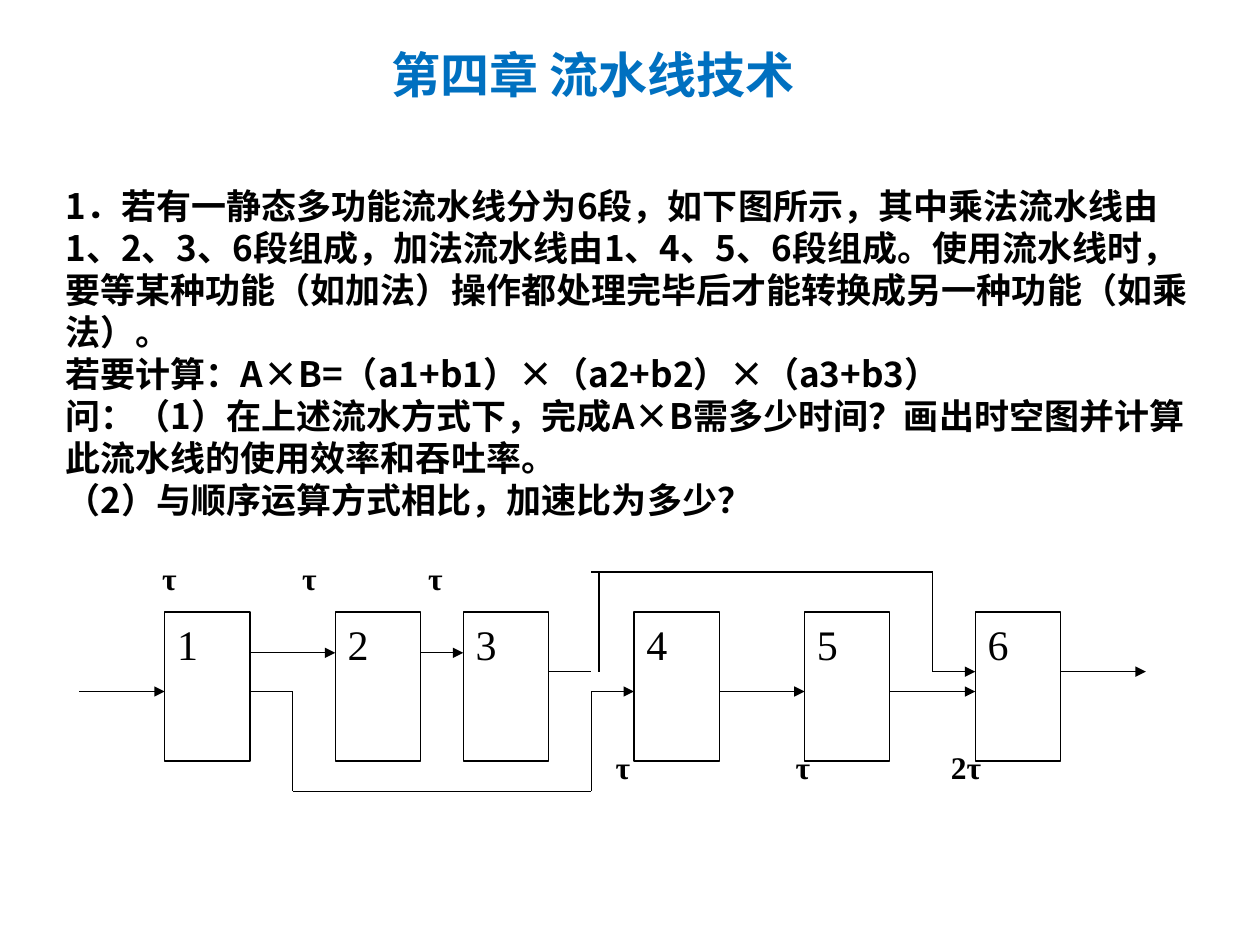
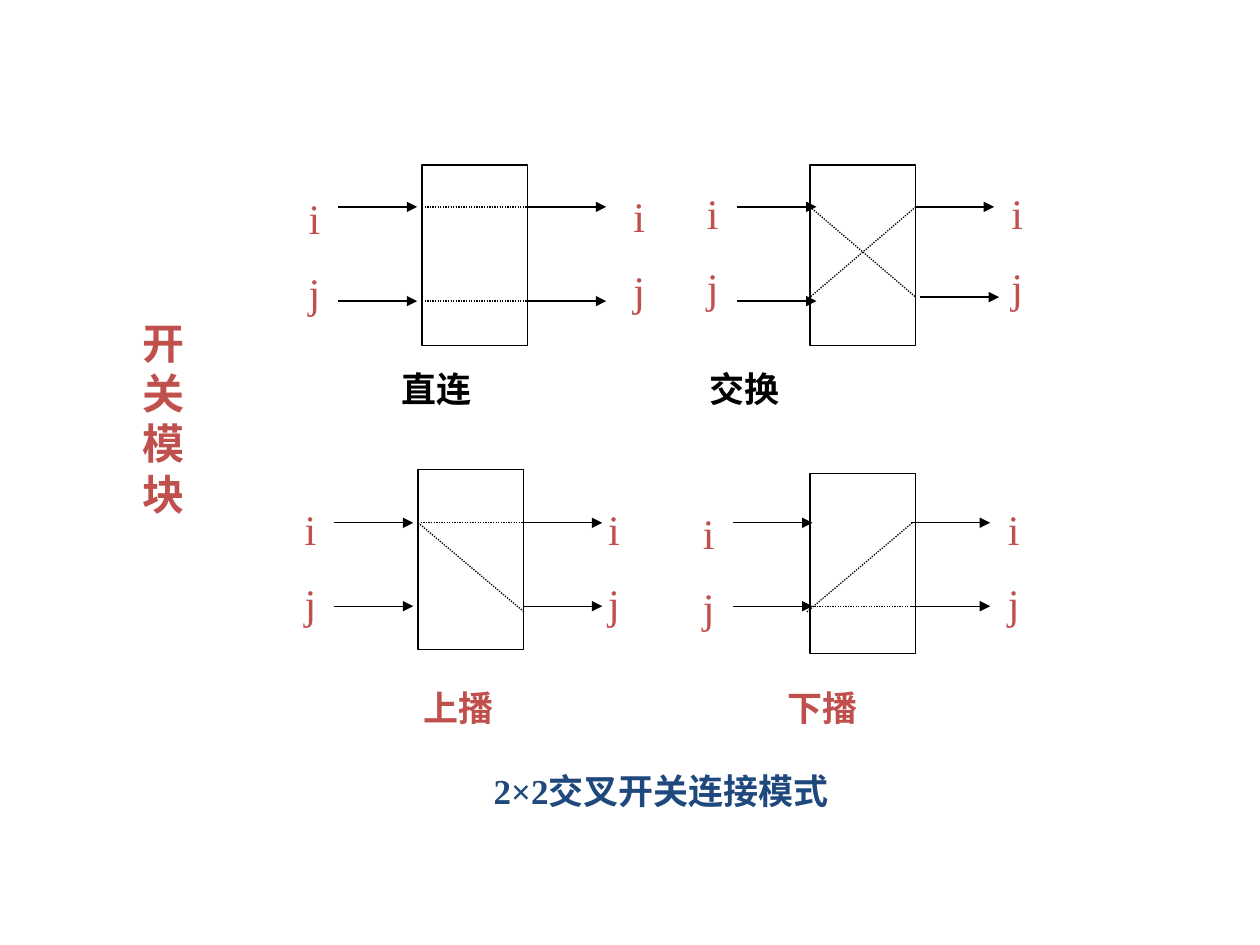
from dataclasses import dataclass

import pptx
import pptx.dml.color
import pptx.enum.dml
import pptx.enum.shapes
import pptx.enum.text
import pptx.oxml
import pptx.oxml.ns
import pptx.util
from lxml import etree
from pptx.util import Cm

ALIGN = pptx.enum.text.PP_ALIGN
ANCHOR = pptx.enum.text.MSO_ANCHOR


@dataclass(frozen=True)
class Theme:
    black: str = "000000"
    blue: str = "0070C0"
    navy: str = "1F497D"
    red: str = "C0504D"
    latin: str = "Times New Roman"
    chinese: str = "Noto Sans CJK SC"
    title: int = 28
    label: int = 24
    body: int = 20
    delay: int = 18
    line: float = 0.75
    leading: float = 1.2
    port_gap: float = 13.5


@dataclass(frozen=True)
class Switch:
    """One 2×2 switch; all lengths are centimetres."""
    left: float
    top: float
    inputs: tuple      # start x, then the y of each arrow
    outputs: tuple     # (x, y) where each arrow starts
    links: tuple       # dotted lines inside: x1, y1, x2, y2
    in_label: tuple
    out_label: tuple
    name: str
    name_at: tuple
    name_color: str


class Deck:
    def __init__(self, theme):
        self.theme = theme
        self.presentation = pptx.Presentation()
        self.presentation.slide_width = Cm(25.4)
        self.presentation.slide_height = Cm(19.05)
        self.slide = None

    def new_slide(self):
        self.slide = self.presentation.slides.add_slide(
            self.presentation.slide_layouts[6])

    def color(self, code):
        return pptx.dml.color.RGBColor.from_string(code)

    def fill_text(self, frame, lines, size, color, bold=False, font=None,
                  align=ALIGN.LEFT, leading=None, gap=0):
        """Fill a text frame, one paragraph for each line."""
        frame.word_wrap = True
        for index, line in enumerate(lines):
            paragraph = frame.paragraphs[0] if index == 0 else frame.add_paragraph()
            paragraph.alignment = align
            if leading:
                paragraph.line_spacing = pptx.util.Pt(size * leading)
            if index and gap:
                paragraph.space_before = pptx.util.Pt(gap)
            run = paragraph.add_run()
            run.text = line
            run.font.size = pptx.util.Pt(size)
            run.font.bold = bold
            run.font.color.rgb = self.color(color)
            run.font.name = font or self.theme.latin
            east_asian = etree.SubElement(run.font._element,
                                          pptx.oxml.ns.qn("a:ea"))
            east_asian.set("typeface", self.theme.chinese)

    def text(self, left, top, width, height, lines, size, color,
             anchor=ANCHOR.TOP, **style):
        shape = self.slide.shapes.add_textbox(
            Cm(left), Cm(top), Cm(width), Cm(height))
        shape.text_frame.vertical_anchor = anchor
        self.fill_text(shape.text_frame, lines, size, color, **style)

    def box(self, left, top, width, height, label=None):
        shape = self.slide.shapes.add_shape(
            pptx.enum.shapes.MSO_SHAPE.RECTANGLE,
            Cm(left), Cm(top), Cm(width), Cm(height))
        shape.shadow.inherit = False
        shape.fill.background()
        shape.line.color.rgb = self.color(self.theme.black)
        shape.line.width = pptx.util.Pt(self.theme.line)
        if label:
            shape.text_frame.vertical_anchor = ANCHOR.TOP
            self.fill_text(shape.text_frame, [label], self.theme.label,
                           self.theme.black)

    def line(self, x1, y1, x2, y2, arrow=False, dotted=False):
        connector = self.slide.shapes.add_connector(
            pptx.enum.shapes.MSO_CONNECTOR.STRAIGHT,
            Cm(x1), Cm(y1), Cm(x2), Cm(y2))
        connector.line.color.rgb = self.color(self.theme.black)
        connector.line.width = pptx.util.Pt(self.theme.line)
        if dotted:
            connector.line.dash_style = pptx.enum.dml.MSO_LINE.ROUND_DOT
        if arrow:
            tail = etree.SubElement(connector.line._get_or_add_ln(),
                                    pptx.oxml.ns.qn("a:tailEnd"))
            tail.set("type", "triangle")
        etree.SubElement(connector._element.spPr,
                         pptx.oxml.ns.qn("a:effectLst"))

    def route(self, points, arrow=True):
        """Join points by straight lines, with an arrowhead on the last."""
        last = len(points) - 2
        for index, (start, end) in enumerate(zip(points, points[1:])):
            self.line(*start, *end, arrow=arrow and index == last)

    def switch(self, switch):
        theme, arrow_length = self.theme, 1.6
        self.box(switch.left, switch.top, 2.13, 3.63)
        x, *heights = switch.inputs
        for start_x, y in [(x, y) for y in heights] + list(switch.outputs):
            self.line(start_x, y, start_x + arrow_length, y, arrow=True)
        for link in switch.links:
            self.line(*link, dotted=True)
        for left, top in (switch.in_label, switch.out_label):
            self.text(left, top, 1.07, 2.79, ["i", "j"], theme.label,
                      theme.red, gap=theme.port_gap)
        self.text(*switch.name_at, 2.5, 1.07, [switch.name], theme.body,
                  switch.name_color, bold=True, leading=theme.leading)


def build_pipeline(deck):
    theme = deck.theme
    deck.new_slide()
    deck.text(1.07, 4.03, 23.29, 6.17, [
        "1．若有一静态多功能流水线分为6段，如下图所示，其中乘法流水线由1、2、3、6段组成，"
        "加法流水线由1、4、5、6段组成。使用流水线时，要等某种功能（如加法）操作都处理完毕后"
        "才能转换成另一种功能（如乘法）。",
        "若要计算：A×B=（a1+b1）×（a2+b2）×（a3+b3）",
        "问：（1）在上述流水方式下，完成A×B需多少时间？画出时空图并计算此流水线的使用效率和吞吐率。",
        "（2）与顺序运算方式相比，加速比为多少？",
    ], theme.body, theme.black, anchor=ANCHOR.MIDDLE, bold=True,
        font=theme.chinese, leading=theme.leading)

    stage_width, stage_top = 1.72, 12.34
    upper, middle, lower = 13.16, 13.54, 13.94
    high_rail, low_rail = 11.53, 15.95

    def column(units):
        return 3.32 + units * stage_width

    for number, units in enumerate((0, 2, 3.5, 5.5, 7.5, 9.5), start=1):
        deck.box(column(units), stage_top, stage_width, 3, str(number))
    for start, end, y in ((-1, 0, lower), (1, 2, upper), (3, 3.5, upper),
                          (6.5, 7.5, lower), (8.5, 9.5, lower),
                          (10.5, 11.5, middle)):
        deck.route([(column(start), y), (column(end), y)])
    deck.route([(column(1), lower), (column(1.5), lower),
                (column(1.5), low_rail), (column(5), low_rail),
                (column(5), lower), (column(5.5), lower)])
    deck.route([(column(4.5), middle), (column(5), middle)], arrow=False)
    deck.route([(column(5.09), middle), (column(5.09), high_rail)], arrow=False)
    deck.route([(column(5), high_rail), (column(9), high_rail),
                (column(9), middle), (column(9.5), middle)])

    for top, delays in (
            (11.15, ((3.02, "τ"), (5.84, "τ"), (8.38, "τ"))),
            (14.96, ((12.16, "τ"), (15.79, "τ"), (18.92, "2τ")))):
        for left, delay in delays:
            deck.text(left, top, 1.5, 1, [delay], theme.delay, theme.black,
                      bold=True)
    deck.text(7.19, 0.77, 9.53, 1.45, ["第四章 流水线技术"], theme.title,
              theme.blue, bold=True, font=theme.chinese, align=ALIGN.CENTER,
              leading=theme.leading)


def build_switches(deck):
    theme = deck.theme
    deck.new_slide()
    for switch in (
            Switch(8.51, 3.33, (6.81, 4.17, 6.07),
                   ((10.62, 4.17), (10.62, 6.07)),
                   ((8.51, 4.17, 10.64, 4.17), (8.51, 6.07, 10.64, 6.07)),
                   (5.97, 3.76), (12.52, 3.71),
                   "直连", (7.85, 7.28), theme.black),
            Switch(16.33, 3.33, (14.86, 4.17, 6.07),
                   ((18.44, 4.17), (18.54, 5.99)),
                   ((16.33, 4.17, 18.46, 5.99), (18.46, 4.17, 16.33, 5.99)),
                   (14, 3.66), (20.14, 3.66),
                   "交换", (14.05, 7.28), theme.black),
            Switch(8.43, 9.47, (6.73, 10.54, 12.22),
                   ((10.54, 10.54), (10.54, 12.22)),
                   ((8.43, 10.54, 10.57, 10.54), (8.43, 10.54, 10.57, 12.34)),
                   (5.89, 10.03), (12.01, 10.03),
                   "上播", (8.28, 13.71), theme.red),
            Switch(16.33, 9.55, (14.78, 10.54, 12.22),
                   ((18.36, 10.54), (18.36, 12.22)),
                   ((16.26, 12.22, 18.39, 12.22), (18.39, 10.54, 16.26, 12.34)),
                   (13.92, 10.11), (20.07, 10.03),
                   "下播", (15.63, 13.71), theme.red)):
        deck.switch(switch)
    deck.text(9.7, 15.38, 8.46, 1.09, ["2×2交叉开关连接模式"], theme.body,
              theme.navy, bold=True, leading=theme.leading)
    deck.text(2.62, 6.27, 1.27, 4.22, ["开关模块"], theme.label, theme.red,
              bold=True, leading=theme.leading)


def main():
    deck = Deck(Theme())
    build_pipeline(deck)
    build_switches(deck)
    deck.presentation.save("out.pptx")


if __name__ == "__main__":
    main()
